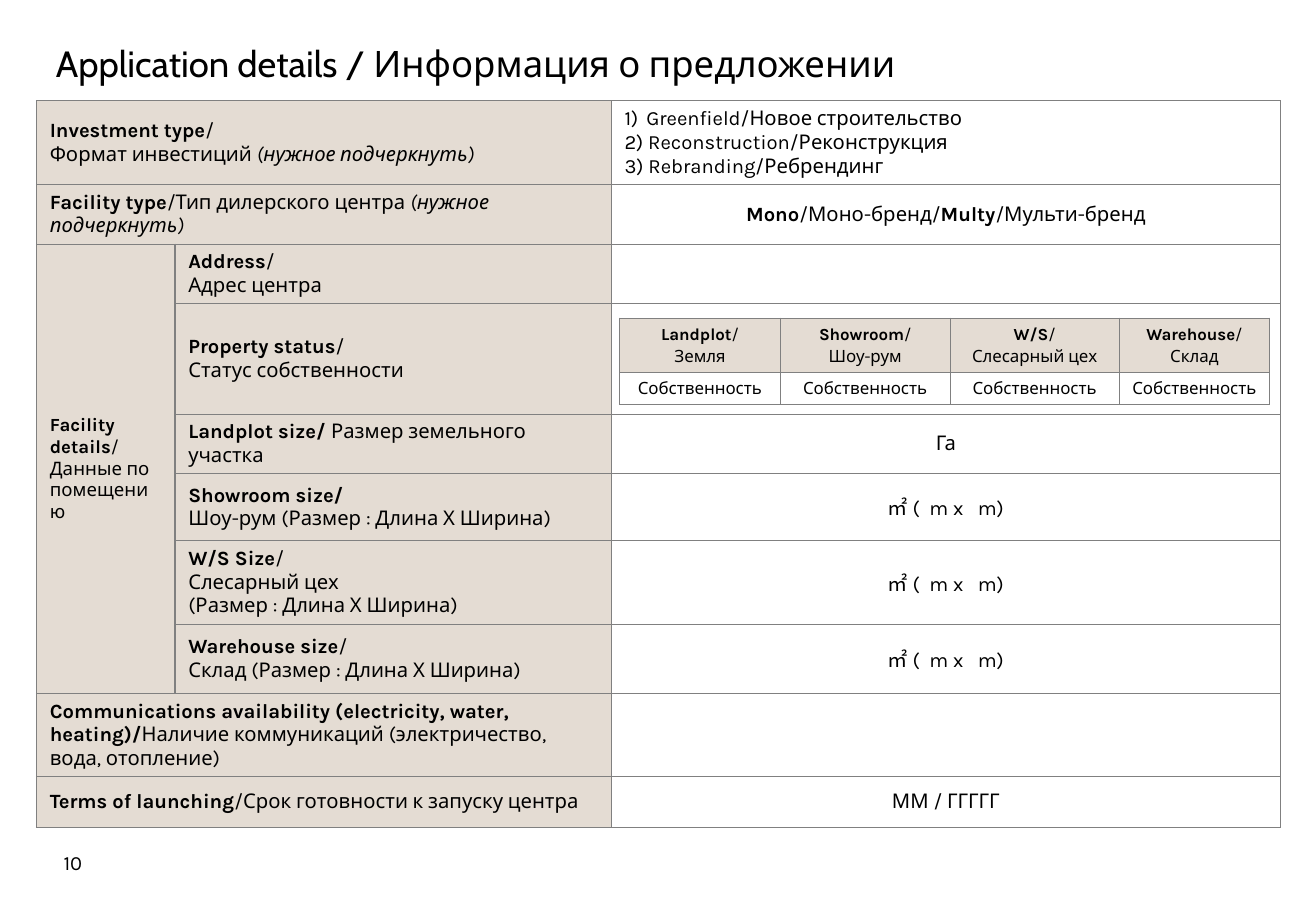
"""Build the application details form slide."""
import pptx
import pptx.dml.color
import pptx.enum.text
import pptx.oxml
import pptx.oxml.ns
import pptx.util

Inches, Pt = pptx.util.Inches, pptx.util.Pt
RGBColor = pptx.dml.color.RGBColor
ALIGN = pptx.enum.text.PP_ALIGN
MIDDLE = pptx.enum.text.MSO_ANCHOR.MIDDLE
BLACK = RGBColor(0x00, 0x00, 0x00)
BEIGE = RGBColor(0xE4, 0xDC, 0xD3)
GREY = RGBColor(0x80, 0x80, 0x80)
NS = pptx.oxml.ns.nsdecls("a")


def write(tf, text, size, align, font="Karla", gap=0):
    """Write lines as paragraphs; *bold* and _italic_ mark runs."""
    for n, line in enumerate(text.split("\n")):
        p = tf.add_paragraph() if n else tf.paragraphs[0]
        p.alignment = align
        p.space_before = Pt(gap if n else 0)
        for i, part in enumerate(line.split("*")):
            for j, words in enumerate(part.split("_")):
                if words:
                    r = p.add_run()
                    r.text = words
                    formats = {"name": font, "size": Pt(size), "bold": i % 2 == 1, "italic": j % 2 == 1}
                    for key, value in formats.items():
                        setattr(r.font, key, value)
                    r.font.color.rgb = BLACK


def add_grid(s, left, top, widths, heights):
    """Add a plain table with grey cell borders."""
    table = s.shapes.add_table(len(heights), len(widths), Inches(left), Inches(top),
                               Inches(sum(widths)), Inches(sum(heights))).table
    table.first_row = table.horz_banding = False
    for col, width in zip(table.columns, widths):
        col.width = Inches(width)
    for row, height in zip(table.rows, heights):
        row.height = Inches(height)
    for cell in table.iter_cells():
        cell.vertical_anchor = MIDDLE
        cell.margin_left = cell.margin_right = Inches(0.11)
        tcPr = cell._tc.get_or_add_tcPr()
        for side in ("lnL", "lnR", "lnT", "lnB"):
            tcPr.append(pptx.oxml.parse_xml(
                f'<a:{side} {NS} w="{Pt(0.75)}"><a:solidFill><a:srgbClr val="{GREY}"/>'
                f'</a:solidFill></a:{side}>'))
        cell.fill.background()
    return table


prs = pptx.Presentation()
prs.slide_width, prs.slide_height = Inches(10.83), Inches(7.5)
s = prs.slides.add_slide(prs.slide_layouts[5])

title = s.shapes.title
place = {"left": 0.36, "top": 0.29, "width": 10.01, "height": 0.46}
for key, value in place.items():
    setattr(title, key, Inches(value))
title.text_frame.vertical_anchor = MIDDLE
write(title.text_frame, "Application details / Информация о предложении", 21.6, ALIGN.LEFT, "Cabin")

AREA = "㎡ (  m x   m)"
DETAILS_ROWS = range(2, 8)
form_rows = [
    (0.69, "*Investment type*/\nФормат инвестиций _(нужное подчеркнуть)_",
     "Greenfield/Новое строительство\n2) Reconstruction/Реконструкция\n3) Rebranding/Ребрендинг"),
    (0.49, "*Facility type*/Тип дилерского центра _(нужное подчеркнуть)_",
     "*Mono*/Моно-бренд/*Multy*/Мульти-бренд"),
    (0.49, "*Address*/\nАдрес центра", ""),
    (0.91, "*Property status*/\nСтатус собственности", ""),
    (0.49, "*Landplot size/ *Размер земельного участка", "Га"),
    (0.55, "*Showroom size/*\nШоу-рум (Размер : Длина Х Ширина)", AREA),
    (0.69, "*W/S Size*/\nСлесарный цех\n(Размер : Длина Х Ширина)", AREA),
    (0.57, "*Warehouse size*/\nСклад (Размер : Длина Х Ширина)", AREA),
    (0.68, "*Communications availability (electricity, water, heating)/*"
           "Наличие коммуникаций (электричество, вода, отопление)", ""),
    (0.42, "*Terms of launching*/Срок готовности к запуску центра", "ММ / ГГГГГ"),
]
form = add_grid(s, 0.3, 0.83, [1.14, 3.59, 5.51], [row[0] for row in form_rows])
for n, (height, label, value) in enumerate(form_rows):
    for col in range(2):
        form.cell(n, col).fill.solid()
        form.cell(n, col).fill.fore_color.rgb = BEIGE
    if n not in DETAILS_ROWS:
        form.cell(n, 0).merge(form.cell(n, 1))
    write(form.cell(n, int(n in DETAILS_ROWS)).text_frame, label, 12, ALIGN.LEFT)
    write(form.cell(n, 2).text_frame, value, 12, ALIGN.CENTER if n else ALIGN.LEFT)
form.cell(DETAILS_ROWS[0], 0).merge(form.cell(DETAILS_ROWS[-1], 0))
write(form.cell(DETAILS_ROWS[0], 0).text_frame, "*Facility details*/\nДанные по помещению", 11, ALIGN.LEFT)

choices = form.cell(0, 2).text_frame.paragraphs
for p in choices:
    pPr = p._p.get_or_add_pPr()
    pPr.set("marL", str(Inches(0.18)))
    pPr.set("indent", str(-Inches(0.18)))
choices[0]._p.get_or_add_pPr().append(
    pptx.oxml.parse_xml(f'<a:buAutoNum {NS} type="arabicParenR"/>'))

premises = ["*Landplot*/\nЗемля", "*Showroom*/\nШоу-рум", "*W/S*/\nСлесарный цех", "*Warehouse*/\nСклад"]
status = add_grid(s, 5.1, 2.62, [1.32, 1.4, 1.39, 1.24], [0.45, 0.26])
for col, label in enumerate(premises):
    head = status.cell(0, col)
    head.margin_left = head.margin_right = Inches(0.04)
    head.fill.solid()
    head.fill.fore_color.rgb = BEIGE
    write(head.text_frame, label, 10, ALIGN.CENTER, gap=1.5)
    write(status.cell(1, col).text_frame, "Собственность", 10, ALIGN.CENTER)

page = s.shapes.add_textbox(Inches(0.3), Inches(6.9), Inches(0.6), Inches(0.4))
page.text_frame.word_wrap = True
page.text_frame.vertical_anchor = MIDDLE
write(page.text_frame, "10", 12, ALIGN.CENTER)

prs.save("out.pptx")
